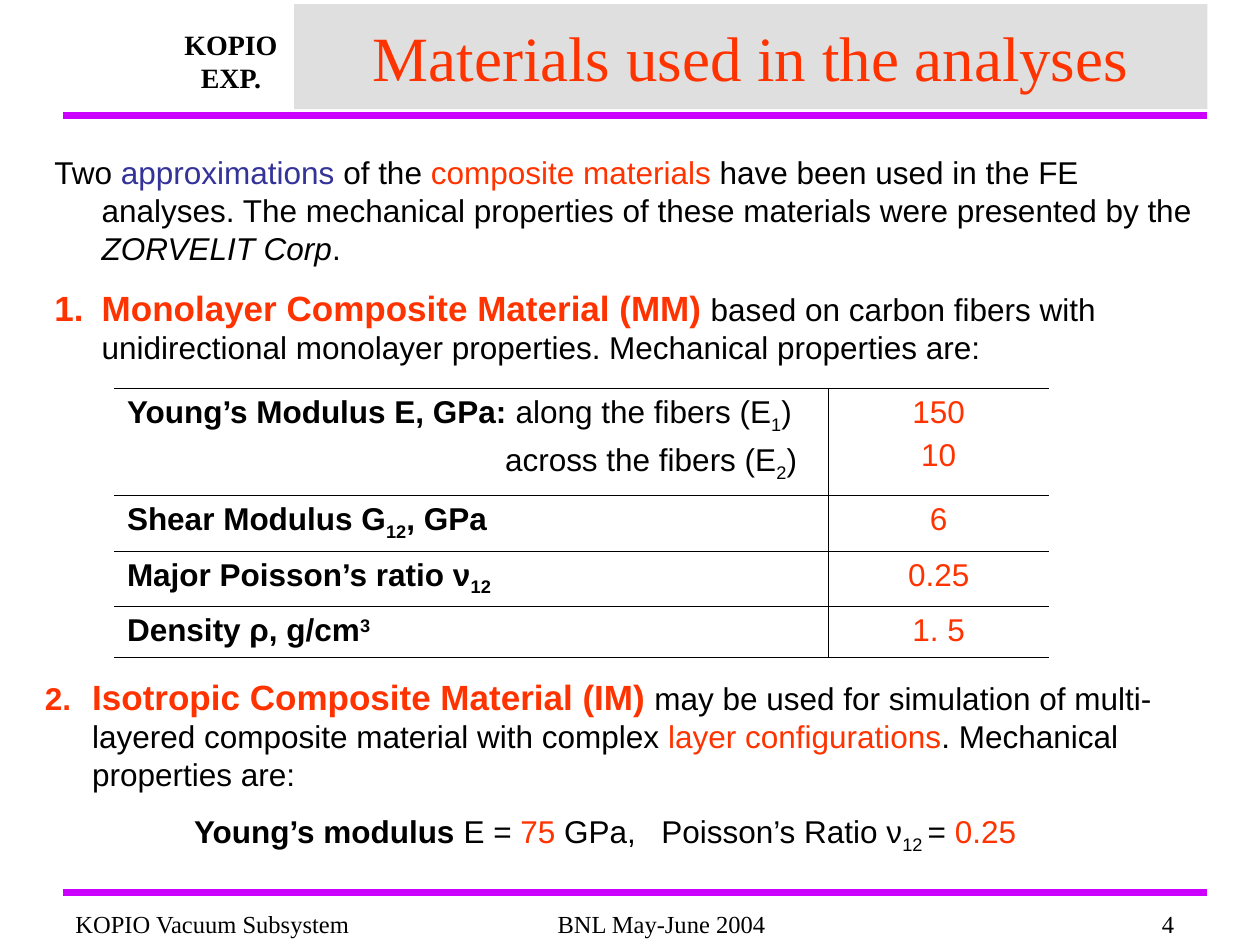
from lxml import etree
from pptx import Presentation
from pptx.dml.color import RGBColor
from pptx.enum.shapes import MSO_CONNECTOR, MSO_SHAPE
from pptx.enum.text import MSO_ANCHOR, PP_ALIGN
from pptx.oxml.ns import qn
from pptx.util import Inches, Pt

LEFT, CENTER, RIGHT = PP_ALIGN.LEFT, PP_ALIGN.CENTER, PP_ALIGN.RIGHT
SERIF, SANS = "Times New Roman", "Arial"
COLORS = {"black": "000000", "red": "FF3300", "blue": "333399",
          "rule": "CC00FF", "banner": "DFDFDF"}
BASELINES = {"sub": "-25000", "sup": "30000"}

deck = Presentation()
deck.slide_width, deck.slide_height = Inches(10), Inches(7.5)
page = deck.slides.add_slide(deck.slide_layouts[6])
UNIT = deck.slide_width // 120  # grid of 120 columns by 90 rows


def grid(*cells):
    return [round(cell * UNIT) for cell in cells]


def write(para, spans, size=18, font=SANS, align=LEFT):
    """Fill a paragraph with spans of (text, color, styles, size)."""
    para.alignment = align
    for text, color, *rest in spans:
        styles = rest[0].split() if rest else []
        span = para.add_run()
        span.text = text
        span.font.name = font
        span.font.size = Pt(rest[1] if len(rest) > 1 else size)
        span.font.color.rgb = RGBColor.from_string(COLORS[color])
        span.font.bold = "bold" in styles
        span.font.italic = "italic" in styles
        for style in styles:
            if style in BASELINES:
                span.font._element.set("baseline", BASELINES[style])


# Rules under the header and above the footer
for row in (11, 85):
    rule = page.shapes.add_connector(MSO_CONNECTOR.STRAIGHT, *grid(6, row, 115, row))
    rule.line.color.rgb = RGBColor.from_string(COLORS["rule"])
    rule.line.width = Pt(4.5)
    etree.SubElement(rule._element.spPr, qn("a:effectLst"))

# Title banner
banner = page.shapes.add_shape(MSO_SHAPE.RECTANGLE, *grid(28, 0.4, 87, 10))
banner.shadow.inherit = False
banner.fill.solid()
banner.fill.fore_color.rgb = RGBColor.from_string(COLORS["banner"])
banner.line.fill.background()
banner.text_frame.vertical_anchor = MSO_ANCHOR.MIDDLE
write(banner.text_frame.paragraphs[0], [("Materials used in the analyses", "red")],
      36, SERIF, CENTER)

# Header label and footer: place, lines, size, styles, alignment, side margin
LABELS = [
    ((16, 2, 12, 7.7), ["KOPIO", "EXP."], 16, "bold", CENTER, 0),
    ((6, 86, 31, 4), ["KOPIO Vacuum Subsystem"], 14, "", LEFT, 1.2),
    ((47, 86, 32, 4), ["BNL May-June 2004"], 14, "", CENTER, 1.2),
    ((76, 86, 37, 4), ["4"], 14, "", RIGHT, 1.2),
]
for place, lines, size, styles, align, margin in LABELS:
    frame = page.shapes.add_textbox(*grid(*place)).text_frame
    frame.word_wrap = True
    frame.margin_left = frame.margin_right = grid(margin)[0]
    for index, line in enumerate(lines):
        para = frame.add_paragraph() if index else frame.paragraphs[0]
        write(para, [(line, "black", styles)], size, SERIF, align)

# Body text: each paragraph is (list number, number size in %, tab stops, spans)
BODY = [
    ((4, 14, 112, 21.5), [
        (None, 100, [], [
            ("Two ", "black"), ("approximations", "blue"), (" of the ", "black"),
            ("composite materials", "red"),
            (" have been used in the FE analyses. The mechanical properties of "
             "these materials were presented by the ", "black"),
            ("ZORVELIT Corp", "black", "italic"), (".", "black")]),
        (1, 100, [], [
            ("Monolayer Composite Material (MM)", "red", "bold", 20),
            (" based on carbon fibers with unidirectional monolayer properties. "
             "Mechanical properties are:", "black")]),
    ]),
    ((3.1, 63.7, 112.5, 18.4), [
        (2, 90, [], [
            ("Isotropic Composite Material (IM)", "red", "bold", 20),
            (" may be used for simulation of multi-layered composite material "
             "with complex ", "black"),
            ("layer configurations", "red"),
            (". Mechanical properties are:", "black")]),
        (None, 100, [14.2, 58.7], [
            ("\tYoung’s modulus ", "black", "bold"), ("E = ", "black"),
            ("75", "red"), (" GPa,\tPoisson’s Ratio ν", "black"),
            ("12 ", "black", "sub"), ("= ", "black"), ("0.25", "red")]),
    ]),
]
HANGING = grid(4.5)[0]
for place, paragraphs in BODY:
    frame = page.shapes.add_textbox(*grid(*place)).text_frame
    frame.word_wrap = True
    for index, (number, percent, stops, spans) in enumerate(paragraphs):
        para = frame.add_paragraph() if index else frame.paragraphs[0]
        props = para._p.get_or_add_pPr()
        if number:
            color = etree.SubElement(props, qn("a:buClr"))
            etree.SubElement(color, qn("a:srgbClr"), val=COLORS["red"])
            etree.SubElement(props, qn("a:buSzPct"), val=str(percent * 1000))
            etree.SubElement(props, qn("a:buFont"), typeface=SANS)
            etree.SubElement(props, qn("a:buAutoNum"), type="arabicPeriod",
                             startAt=str(number))
        if stops:
            tabs = etree.SubElement(props, qn("a:tabLst"))
            for stop in grid(*stops):
                etree.SubElement(tabs, qn("a:tab"), pos=str(stop), algn="l")
        else:
            props.set("marL", str(HANGING))
            props.set("indent", str(-HANGING))
        if index:
            para.space_before = Pt(11.2)
        write(para, spans)

# Property table: each row is (height, label lines, values)
ROWS = [
    (10.2, [[("Young’s Modulus E, GPa: ", "black", "bold"),
             ("along the fibers (E", "black"), ("1", "black", "sub"), (")", "black")],
            [("across the fibers (E", "black"), ("2", "black", "sub"), (")", "black")]],
     ["150", "10"]),
    (5.3, [[("Shear Modulus G", "black", "bold"), ("12", "black", "bold sub"),
            (", GPa", "black", "bold")]], ["6"]),
    (5.3, [[("Major Poisson’s ratio ν", "black", "bold"),
            ("12", "black", "bold sub")]], ["0.25"]),
    (4.8, [[("Density ρ, g/cm", "black", "bold"), ("3", "black", "bold sup")]],
     ["1. 5"]),
]
BORDERS = [("lnR", "lnT", "lnB"), ("lnL", "lnT", "lnB")]  # outer sides stay open
table = page.shapes.add_table(len(ROWS), 2, *grid(10.9, 37, 89, 25.6)).table
table.first_row = table.horz_banding = False
for column, width in zip(table.columns, grid(68, 21)):
    column.width = width
for row, (height, labels, values) in enumerate(ROWS):
    table.rows[row].height = grid(height)[0]
    contents = (labels, [[(value, "red")] for value in values])
    for column, lines in enumerate(contents):
        cell = table.cell(row, column)
        for index, spans in enumerate(lines):
            para = cell.text_frame.add_paragraph() if index else cell.text_frame.paragraphs[0]
            if index:
                para.space_before = Pt(4.5)
                if column == 0:
                    para._p.get_or_add_pPr().set("marL", str(grid(36)[0]))
            write(para, spans, align=CENTER if column else LEFT)
        props = cell._tc.get_or_add_tcPr()
        for side in ("lnL", "lnR", "lnT", "lnB"):
            border = etree.SubElement(props, qn(f"a:{side}"), w=str(Pt(0.45)))
            if side in BORDERS[column]:
                fill = etree.SubElement(border, qn("a:solidFill"))
                etree.SubElement(fill, qn("a:srgbClr"), val=COLORS["black"])
            else:
                etree.SubElement(border, qn("a:noFill"))
        cell.fill.background()

deck.save("out.pptx")
